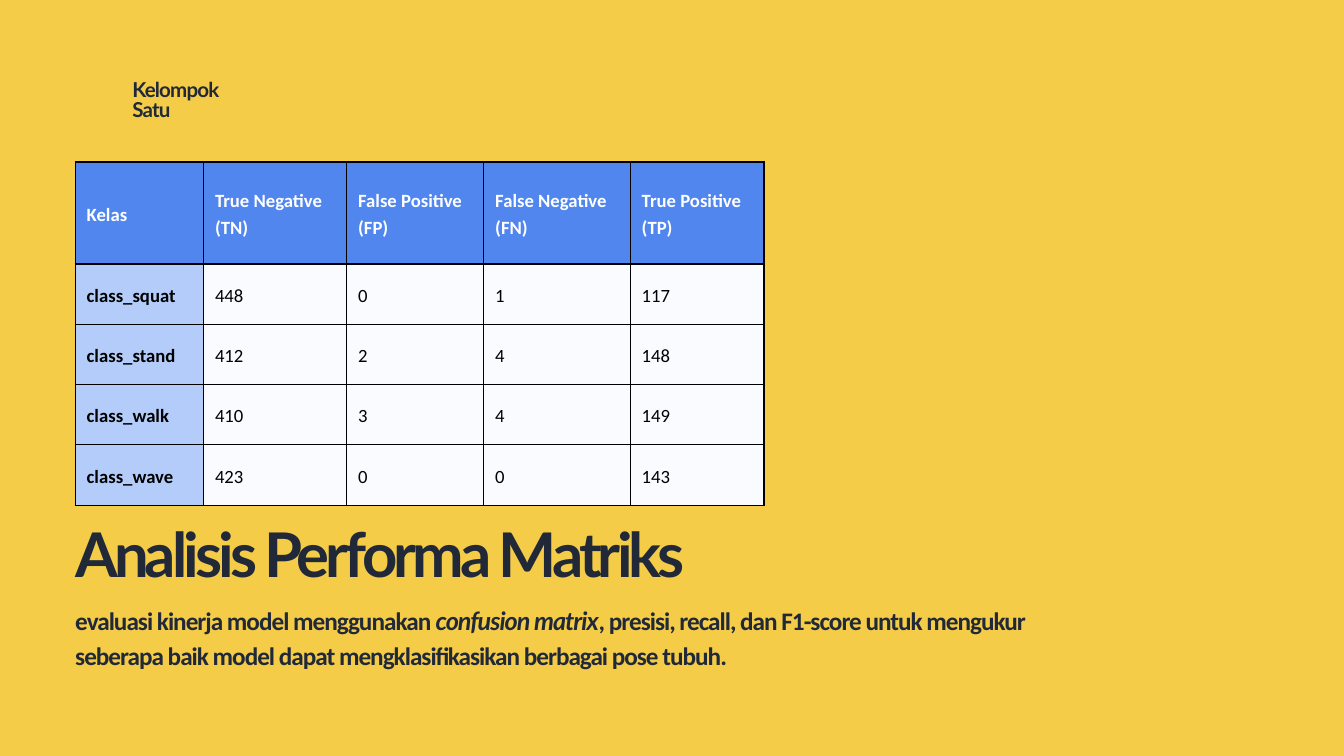
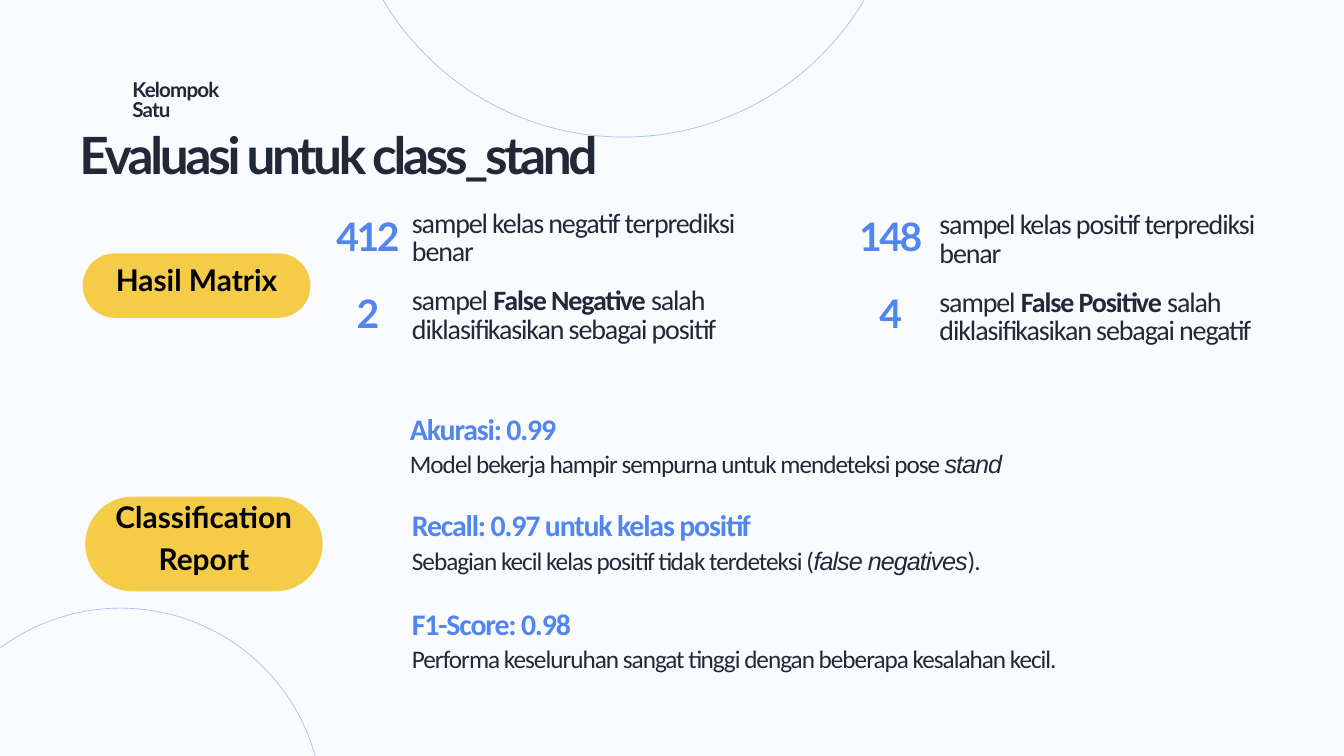
from dataclasses import dataclass, field

from lxml.etree import SubElement
from pptx import Presentation
from pptx.dml.color import RGBColor as RGB
from pptx.enum.shapes import MSO_SHAPE as SHAPE
from pptx.enum.text import MSO_ANCHOR as ANCHOR, MSO_AUTO_SIZE as AUTO, PP_ALIGN as ALIGN
from pptx.oxml.ns import qn
from pptx.util import Emu, Pt

PX = 9144
TITLE_ONLY = 5
TIGHT, NORMAL, LOOSE = 0.94, 1.01, 1.4
BODY_TRACK, DISPLAY_TRACK = -0.04, -0.064


def style(size, leading, color, name="Lato", bold=True, track=0, align=ALIGN.LEFT):
    font = {"size": Pt(size), "name": name, "bold": bold}
    para = {"line_spacing": Pt(size * leading), "space_before": Pt(0), "alignment": align}
    return {"font": font, "para": para, "color": color, "spc": round(size * track * 100)}


@dataclass(frozen=True)
class Theme:
    yellow: str = "F4CC48"
    paper: str = "F9FBFF"
    blue: str = "5086ED"
    pale: str = "B4CCFA"
    ink: str = "212938"
    black: str = "000000"
    white: str = "FFFFFF"
    styles: dict = field(default_factory=dict)

    def __post_init__(self):
        ink, blue, black = self.ink, self.blue, self.black
        self.styles.update(
            group=style(22, NORMAL, ink, track=BODY_TRACK),
            cover_title=style(66, TIGHT, ink, track=DISPLAY_TRACK),
            title=style(55, TIGHT, ink, track=DISPLAY_TRACK),
            lead=style(27, LOOSE, ink, "Calibri", track=BODY_TRACK),
            number=style(42, TIGHT, blue, track=DISPLAY_TRACK, align=ALIGN.CENTER),
            stat=style(30, NORMAL, ink, "Calibri", False, BODY_TRACK),
            metric=style(32, NORMAL, blue, "Calibri", track=BODY_TRACK),
            note=style(27, NORMAL, ink, "Calibri", False, BODY_TRACK),
            pill=style(32, LOOSE, black, align=ALIGN.CENTER),
            header=style(20, LOOSE, self.white, "Calibri"),
            row_label=style(20, LOOSE, black, "Calibri"),
            value=style(20, LOOSE, black, "Calibri", False),
        )


THEME = Theme()

MATRIX = [
    ["Kelas", "True Negative (TN)", "False Positive (FP)", "False Negative (FN)", "True Positive (TP)"],
    ["class_squat", "448", "0", "1", "117"],
    ["class_stand", "412", "2", "4", "148"],
    ["class_walk", "410", "3", "4", "149"],
    ["class_wave", "423", "0", "0", "143"],
]
COL_WIDTHS = [191, 213, 204, 218, 199]
ROW_HEIGHTS = [152, 90, 89, 90, 90]

BOLD = {"bold": True}
LATO_ITALIC = {"name": "Lato", "italic": True}
ARIAL_ITALIC = {"name": "Arial", "italic": True}

LEAD = [
    "evaluasi kinerja model menggunakan ",
    ("confusion matrix", LATO_ITALIC),
    ", presisi, recall, dan F1-score untuk mengukur seberapa baik model dapat "
    "mengklasifikasikan berbagai pose tubuh.",
]
STAT_STEP = 115
STAT_COLUMNS = [
    (461, 613, 314, [
        ("412", 540, ["sampel kelas negatif terprediksi benar"]),
        ("2", 540, ["sampel ", ("False Negative", BOLD), " salah diklasifikasikan sebagai positif"]),
    ]),
    (1239, 1398, 316, [
        ("148", 504, ["sampel kelas positif terprediksi benar"]),
        ("4", 544, ["sampel ", ("False Positive", BOLD), " salah diklasifikasikan sebagai negatif"]),
    ]),
]
METRICS = [
    (610, 620, 309, "Akurasi: 0.99",
     ["Model bekerja hampir sempurna untuk mendeteksi pose ", ("stand", ARIAL_ITALIC)]),
    (613, 763, 730, "Recall: 0.97 untuk kelas positif",
     ["Sebagian kecil kelas positif tidak terdeteksi (", ("false negatives", ARIAL_ITALIC), ")."]),
    (613, 909, 730, "F1-Score: 0.98",
     ["Performa keseluruhan sangat tinggi dengan beberapa kesalahan kecil."]),
]


def px(*lengths):
    return [Emu(n * PX) for n in lengths]


def apply(obj, values):
    for key, value in values.items():
        setattr(obj, key, value)


def write(tf, paragraphs, style_name):
    st = THEME.styles[style_name]
    for i, parts in enumerate(paragraphs):
        p = tf.add_paragraph() if i else tf.paragraphs[0]
        apply(p, st["para"])
        for part in parts:
            text, changes = (part, {}) if isinstance(part, str) else part
            r = p.add_run()
            r.text = text
            apply(r.font, {**st["font"], **changes})
            r.font.color.rgb = RGB.from_string(st["color"])
            if st["spc"]:
                r._r.get_or_add_rPr().set("spc", str(st["spc"]))


def set_margins(obj, inset):
    sides = ("margin_left", "margin_top", "margin_right", "margin_bottom")
    apply(obj, dict.fromkeys(sides, px(inset)[0]))


def frame(tf, inset=0, anchor=ANCHOR.TOP, auto=AUTO.NONE):
    set_margins(tf, inset)
    apply(tf, {"word_wrap": True, "vertical_anchor": anchor, "auto_size": auto})


def add_text(s, box, paragraphs, style_name, **options):
    tf = s.shapes.add_textbox(*px(*box)).text_frame
    frame(tf, **{"auto": AUTO.SHAPE_TO_FIT_TEXT, **options})
    write(tf, paragraphs, style_name)


def set_title(s, box, text, style_name):
    sp = s.shapes.title
    apply(sp, dict(zip(("left", "top", "width", "height"), px(*box))))
    frame(sp.text_frame)
    write(sp.text_frame, [[text]], style_name)


def add_ring(s, left, top, size):
    sp = s.shapes.add_shape(SHAPE.OVAL, *px(left, top, size, size))
    sp.shadow.inherit = False
    sp.fill.background()
    sp.line.width = Pt(0.75)
    sp.line.color.rgb = RGB.from_string(THEME.blue)
    color = sp.line._ln.find(".//" + qn("a:srgbClr"))
    SubElement(color, qn("a:alpha"), val="50000")


def add_panel(s, kind, box, color):
    sp = s.shapes.add_shape(kind, *px(*box))
    sp.shadow.inherit = False
    sp.fill.solid()
    sp.fill.fore_color.rgb = RGB.from_string(color)
    sp.line.fill.background()
    return sp


def add_pill(s, left, top, width, height, label):
    sp = add_panel(s, SHAPE.ROUNDED_RECTANGLE, (left, top, width, height), THEME.yellow)
    sp.adjustments[0] = 0.5
    rise = 28
    add_text(s, (left, top - rise, width, height + rise), [[label]], "pill",
             inset=7, anchor=ANCHOR.MIDDLE, auto=AUTO.NONE)


def add_borders(cell):
    tcPr = cell._tc.get_or_add_tcPr()
    for side in ("a:lnL", "a:lnR", "a:lnT", "a:lnB"):
        ln = SubElement(tcPr, qn(side), w=str(Pt(1.5)))
        fill = SubElement(ln, qn("a:solidFill"))
        SubElement(fill, qn("a:srgbClr"), val=THEME.black)


def add_matrix(s, left, top):
    width, height = sum(COL_WIDTHS), sum(ROW_HEIGHTS)
    panels = [
        (width, height, THEME.paper),
        (COL_WIDTHS[0], height, THEME.pale),
        (width, ROW_HEIGHTS[0], THEME.blue),
    ]
    for panel_width, panel_height, color in panels:
        add_panel(s, SHAPE.RECTANGLE, (left, top, panel_width, panel_height), color)

    box = px(left, top, width, height)
    table = s.shapes.add_table(len(MATRIX), len(COL_WIDTHS), *box).table
    for column, col_width in zip(table.columns, px(*COL_WIDTHS)):
        column.width = col_width
    for row, row_height in zip(table.rows, px(*ROW_HEIGHTS)):
        row.height = row_height
    for i, values in enumerate(MATRIX):
        for j, text in enumerate(values):
            style_name = "header" if i == 0 else "row_label" if j == 0 else "value"
            cell = table.cell(i, j)
            set_margins(cell, 17)
            cell.vertical_anchor = ANCHOR.MIDDLE
            add_borders(cell)
            cell.fill.background()
            write(cell.text_frame, [[text]], style_name)


def add_slide(prs, background):
    s = prs.slides.add_slide(prs.slide_layouts[TITLE_ONLY])
    s.background.fill.solid()
    s.background.fill.fore_color.rgb = RGB.from_string(background)
    add_text(s, (197, 120, 178, 63), [["Kelompok"], ["Satu"]], "group")
    return s


def matrix_slide(prs):
    s = add_slide(prs, THEME.yellow)
    add_matrix(s, 112, 241)
    set_title(s, (112, 792, 1116, 93), "Analisis Performa Matriks", "cover_title")
    add_text(s, (112, 893, 1456, 102), [LEAD], "lead")


def evaluation_slide(prs):
    s = add_slide(prs, THEME.paper)
    add_ring(s, 512, -628, 832)
    add_ring(s, -121, 905, 601)
    set_title(s, (118, 203, 1231, 75), "Evaluasi untuk class_stand", "title")
    add_pill(s, 123, 377, 339, 96, "Hasil Matrix")
    add_pill(s, 127, 739, 353, 141, "Classification Report")
    for number_left, text_left, text_top, stats in STAT_COLUMNS:
        for i, (number, width, text) in enumerate(stats):
            drop = i * STAT_STEP
            add_text(s, (number_left, 331 + drop, 173, 58), [[number]], "number")
            add_text(s, (text_left, text_top + drop, width, 86), [text], "stat")
    for left, top, width, metric, note in METRICS:
        add_text(s, (left, top, width, 47), [[metric]], "metric")
        add_text(s, (left, top + 55, 1401, 39), [note], "note")


def main():
    prs = Presentation()
    prs.slide_width, prs.slide_height = px(2000, 1125)
    matrix_slide(prs)
    evaluation_slide(prs)
    prs.save("out.pptx")


if __name__ == "__main__":
    main()
